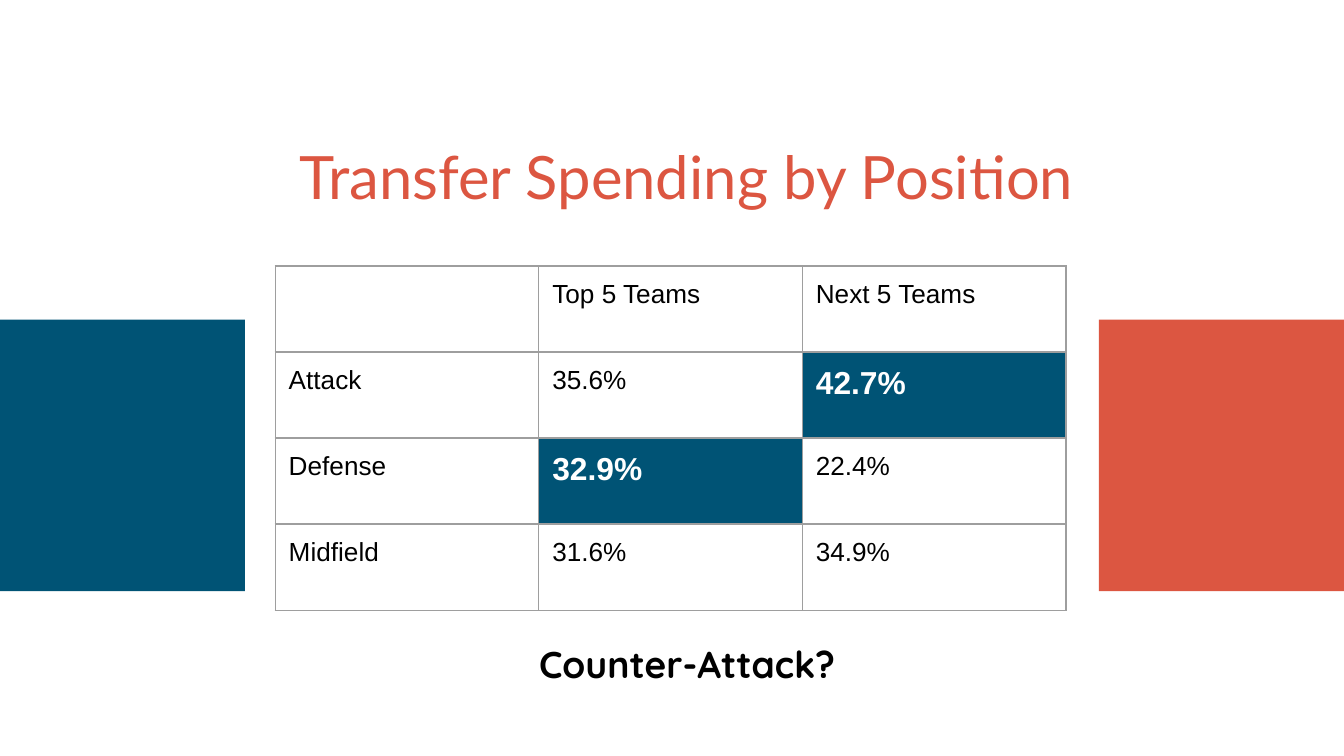
"""Build a slide with a table of transfer spending by position."""
from lxml.etree import SubElement
from pptx import Presentation
from pptx.dml.color import RGBColor
from pptx.enum.shapes import MSO_SHAPE
from pptx.enum.text import MSO_ANCHOR, MSO_AUTO_SIZE, PP_ALIGN
from pptx.oxml.ns import qn
from pptx.util import Pt

COLORS = {"blue": "005375", "red": "DC5641", "black": "000000",
          "white": "FFFFFF", "border": "9E9E9E"}
ROWS = [
    ["", "Top 5 Teams", "Next 5 Teams"],
    ["Attack", "35.6%", "42.7%"],
    ["Defense", "32.9%", "22.4%"],
    ["Midfield", "31.6%", "34.9%"],
]
HIGHLIGHTS = {"42.7%", "32.9%"}
INSET = Pt(7.2)


def write(frame, text, font="Arial", size=14, color="black", bold=False,
          align=PP_ALIGN.LEFT, bottom=INSET):
    frame.word_wrap = True
    frame.margin_left = frame.margin_right = frame.margin_top = INSET
    frame.margin_bottom = bottom
    para = frame.paragraphs[0]
    para.alignment = align
    span = para.add_run()
    span.text = text
    span.font.name = font
    span.font.size = Pt(size)
    span.font.bold = bold
    span.font.color.rgb = RGBColor.from_string(COLORS[color])


def add_borders(cell):
    properties = cell._tc.get_or_add_tcPr()
    for side in ("lnL", "lnR", "lnT", "lnB"):
        line = SubElement(properties, qn(f"a:{side}"), w=str(Pt(0.75)))
        fill = SubElement(line, qn("a:solidFill"))
        SubElement(fill, qn("a:srgbClr"), val=COLORS["border"])


deck = Presentation()
deck.slide_width, deck.slide_height = Pt(720), Pt(405)
page = deck.slides.add_slide(deck.slide_layouts[5])

for left, color in ((0, "blue"), (588.75, "red")):
    block = page.shapes.add_shape(MSO_SHAPE.RECTANGLE, Pt(left), Pt(171.25),
                                  Pt(131.25), Pt(145.5))
    block.shadow.inherit = False
    block.fill.solid()
    block.fill.fore_color.rgb = RGBColor.from_string(COLORS[color])
    block.line.fill.background()

title = page.shapes.title
title.left, title.top, title.width, title.height = Pt(50.4), Pt(69.8), Pt(635), Pt(76.3)
title.text_frame.auto_size = MSO_AUTO_SIZE.NONE
title.text_frame.vertical_anchor = MSO_ANCHOR.MIDDLE
write(title.text_frame, "Transfer Spending by Position", font="Lato", size=32,
      color="red", align=PP_ALIGN.CENTER, bottom=Pt(35))

table = page.shapes.add_table(len(ROWS), len(ROWS[0]), Pt(147.5), Pt(142.5),
                              Pt(423.6), Pt(184.4)).table
table.first_row = table.horz_banding = False
for row, texts in enumerate(ROWS):
    for column, text in enumerate(texts):
        cell = table.cell(row, column)
        add_borders(cell)
        cell.margin_left = cell.margin_right = INSET
        cell.margin_top = cell.margin_bottom = INSET
        cell.fill.background()
        look = {}
        if text in HIGHLIGHTS:
            cell.fill.solid()
            cell.fill.fore_color.rgb = RGBColor.from_string(COLORS["blue"])
            look = {"size": 17, "color": "white", "bold": True}
        if text:
            write(cell.text_frame, text, **look)

question = page.shapes.add_textbox(Pt(267), Pt(336.2), Pt(202.3), Pt(39))
write(question.text_frame, "Counter-Attack?", font="Quicksand", size=20,
      bold=True, align=PP_ALIGN.CENTER)
question.text_frame.auto_size = MSO_AUTO_SIZE.SHAPE_TO_FIT_TEXT

deck.save("out.pptx")
